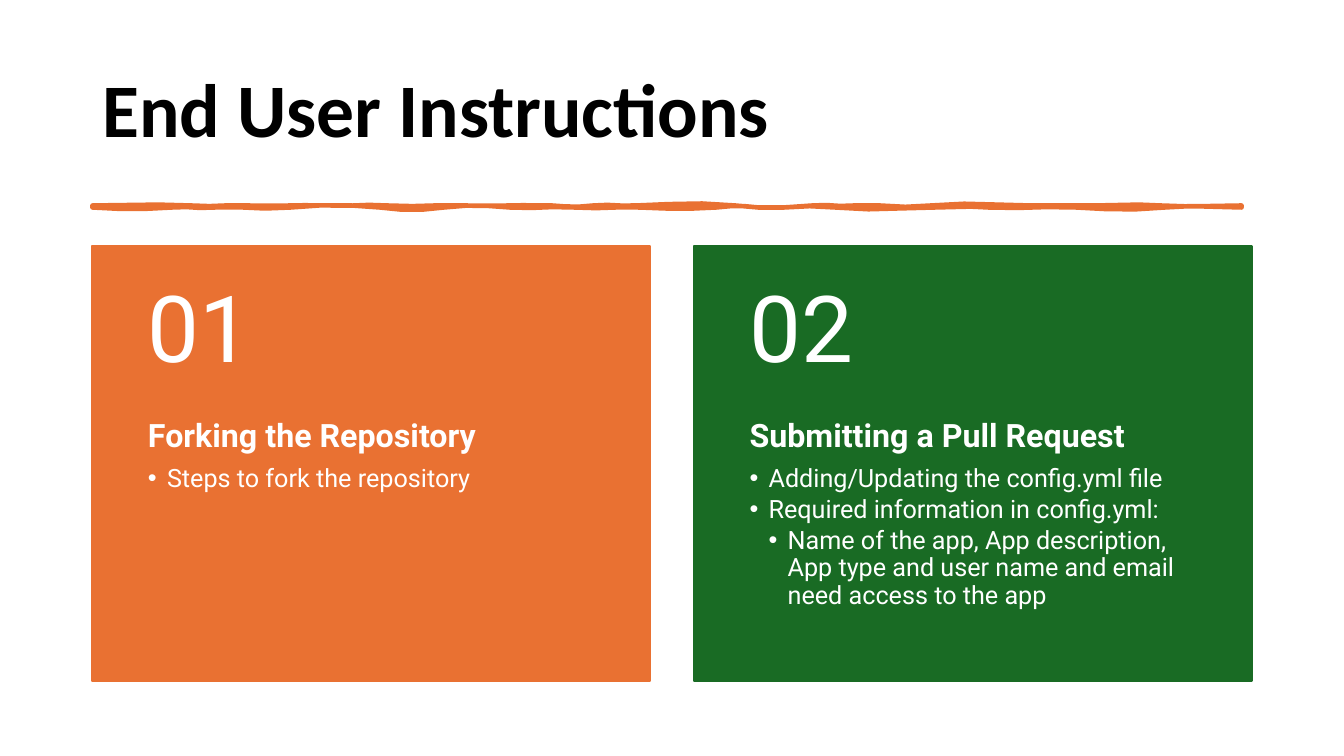
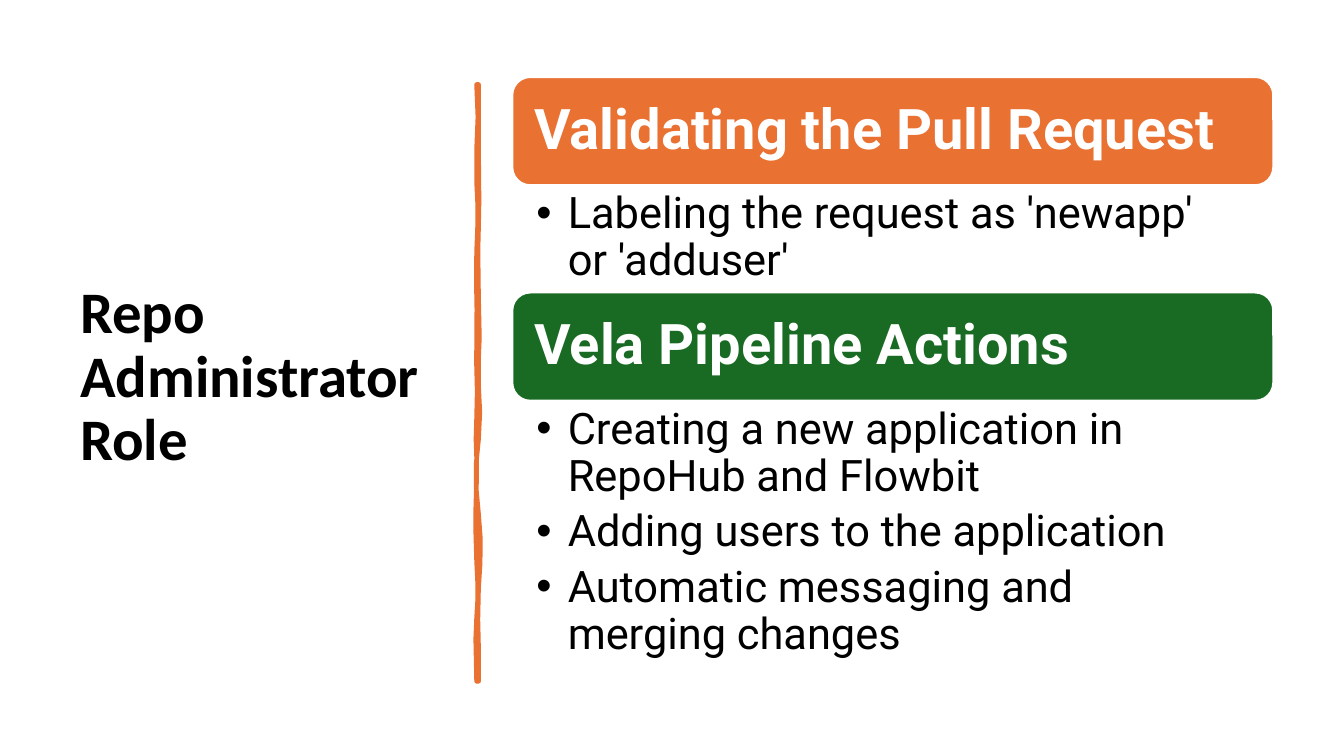
"""Build two slides on end user instructions and the repo administrator role."""
from lxml import etree
from pptx import Presentation
from pptx.dml.color import RGBColor
from pptx.enum.shapes import MSO_SHAPE
from pptx.enum.text import MSO_ANCHOR, PP_ALIGN
from pptx.oxml.ns import qn
from pptx.util import Cm, Pt

RECTANGLE = MSO_SHAPE.RECTANGLE
ROUNDED = MSO_SHAPE.ROUNDED_RECTANGLE
TOP = MSO_ANCHOR.TOP
MIDDLE = MSO_ANCHOR.MIDDLE
LEFT = PP_ALIGN.LEFT

ORANGE = RGBColor(0xE9, 0x71, 0x32)
GREEN = RGBColor(0x19, 0x6B, 0x24)
WHITE = RGBColor(0xFF, 0xFF, 0xFF)
BLACK = RGBColor(0, 0, 0)
TITLE_FONT = "Calibri"
BODY_FONT = "Roboto"

STROKE_GAP = 0.05
CURVE_STEPS = 3
RULE_UPPER = [(0, 0), (2.49, -0.05), (3.86, -0.03), (6.07, -0.03), (7.42, -0.05),
              (9.35, -0.03), (11.58, -0.03), (12.62, 0.05), (13.69, 0.03),
              (16.2, -0.1), (18.14, 0.05), (19.2, 0.05), (21.13, 0.1), (23.65, 0),
              (25.27, 0), (26.92, -0.05), (28.96, 0)]
RULE_LOWER = [(28.96, 0), (27.03, -0.08), (24.79, 0.05), (22.58, 0.05), (21.23, 0),
              (18.72, 0.1), (16.79, 0.05), (15.72, -0.05), (13.79, 0.03),
              (12.14, 0.05), (10.52, 0.05), (8.86, -0.08), (7.24, 0.08), (5, -0.08),
              (3.07, -0.05), (2.01, -0.05), (0, 0.05)]
DIVIDER_RIGHT = [(0, 0), (1.57, 0), (3.61, 0.03), (5.33, 0), (6.91, 0.05),
                 (8.94, 0.1), (10.82, -0.08), (12.7, 0.05), (15.04, 0.03)]
DIVIDER_LEFT = [(15.04, 0), (13.44, -0.05), (12.01, 0.03), (9.98, -0.03),
                (8.41, -0.05), (6.38, -0.03), (4.22, -0.03), (2.46, 0.05), (0, 0.1)]

CARD_LEFT, CARD_TOP, CARD_WIDTH, CARD_HEIGHT = 2.33, 6.2, 14.05, 10.97
CARD_STEP = 15.16
NUMBER_HEIGHT = 4.38
CARDS = [
    (ORANGE, "Forking the Repository", [(1, "Steps to fork the repository")]),
    (GREEN, "Submitting a Pull Request", [
        (1, "Adding/Updating the config.yml file"),
        (1, "Required information in config.yml:"),
        (2, "Name of the app, App description, App type and user name "
            "and email need access to the app")]),
]

SECTION_LEFT, SECTION_TOP, SECTION_WIDTH = 12.91, 1.94, 19.18
BANNER_HEIGHT = 2.73
SECTIONS = [
    (ORANGE, "Validating the Pull Request", 2.7,
     ["Labeling the request as 'newapp' or 'adduser'"]),
    (GREEN, "Vela Pipeline Actions", 6.91,
     ["Creating a new application in RepoHub and Flowbit",
      "Adding users to the application",
      "Automatic messaging and merging changes"]),
]


def set_frame(box, anchor, insets):
    """Set wrapping, anchor and insets of a box and return its text frame."""
    frame = box.text_frame
    frame.word_wrap = True
    frame.vertical_anchor = anchor
    (frame.margin_left, frame.margin_top,
     frame.margin_right, frame.margin_bottom) = [Cm(inset) for inset in insets]
    return frame


def add_text_box(page, left, top, width, height, anchor, insets):
    """Add a text box and return its text frame."""
    box = page.shapes.add_textbox(Cm(left), Cm(top), Cm(width), Cm(height))
    return set_frame(box, anchor, insets)


def add_bullet(para, level, indent):
    """Give a paragraph a hanging bullet at the given level."""
    para.level = level
    properties = para._p.get_or_add_pPr()
    properties.set("marL", str(Cm(level * indent)))
    properties.set("indent", str(-Cm(indent)))
    etree.SubElement(properties, qn("a:buFont")).set("typeface", "Arial")
    etree.SubElement(properties, qn("a:buChar")).set("char", "•")


def write(frame, text, size, color, name=BODY_FONT, bold=False, after=0,
          level=0, indent=0):
    """Write one paragraph, using the empty first one if it is free."""
    para = frame.paragraphs[0]
    if para.runs:
        para = frame.add_paragraph()
    para.text = text
    para.alignment = LEFT
    if level:
        add_bullet(para, level, indent)
    para.line_spacing = 0.9
    para.space_before = Pt(0)
    para.space_after = Pt(after)
    para.font.name = name
    para.font.size = Pt(size)
    para.font.bold = bold
    para.font.color.rgb = color


def add_title(page, text, size, left, top, width, height):
    """Add the slide title."""
    frame = add_text_box(page, left, top, width, height, MIDDLE,
                         (0.25, 0.13, 0.25, 0.13))
    write(frame, text, size, BLACK, TITLE_FONT, bold=True)


def paint(shape, fill, line, width):
    """Set the fill and outline of a shape without a shadow."""
    shape.shadow.inherit = False
    shape.fill.solid()
    shape.fill.fore_color.rgb = fill
    shape.line.color.rgb = line
    shape.line.width = Pt(width)


def add_panel(page, kind, left, top, width, height, fill, line):
    """Add a filled preset shape."""
    panel = page.shapes.add_shape(kind, Cm(left), Cm(top), Cm(width), Cm(height))
    paint(panel, fill, line, 1.5)
    return panel


def trace_edge(knots, base):
    """Return the points of a wavy edge through knots of place and bend."""
    points = [(knots[0][0], base)]
    for (start, bend_out), (end, bend_in) in zip(knots, knots[1:]):
        for step in range(1, CURVE_STEPS + 1):
            t = step / CURVE_STEPS
            wave = 3 * t * (1 - t) * (t * bend_in - (1 - t) * bend_out)
            points.append((start + (end - start) * t, base + wave))
    return points


def add_brush_line(page, left, top, near_edge, far_edge, vertical=False):
    """Draw a hand-drawn stroke between two wavy edges."""
    points = trace_edge(*near_edge) + trace_edge(*far_edge)
    if vertical:
        points = [(across, along) for along, across in points]
    places = [(Cm(left + x), Cm(top + y)) for x, y in points]
    builder = page.shapes.build_freeform(*places[0])
    builder.add_line_segments(places[1:], close=True)
    paint(builder.convert_to_shape(), ORANGE, ORANGE, 3.25)


def add_card(page, number, color, heading, items):
    """Add a numbered card with a heading and bullets."""
    left = CARD_LEFT + (number - 1) * CARD_STEP
    add_panel(page, RECTANGLE, left, CARD_TOP, CARD_WIDTH, CARD_HEIGHT, color, color)
    body = add_text_box(page, left, CARD_TOP + NUMBER_HEIGHT, CARD_WIDTH,
                        CARD_HEIGHT - NUMBER_HEIGHT, TOP, (1.4, 0, 1.4, 0.91))
    write(body, heading, 23, WHITE, bold=True, after=8)
    for level, text in items:
        write(body, text, 18, WHITE, after=2.7, level=level, indent=0.48)
    label = add_text_box(page, left, CARD_TOP, CARD_WIDTH, NUMBER_HEIGHT, MIDDLE,
                         (1.4, 0.46, 1.4, 0.46))
    write(label, f"{number:02}", 66, WHITE)


def add_section(page, top, color, heading, height, items):
    """Add a banner with bullets below it and return the bottom edge."""
    banner = add_panel(page, ROUNDED, SECTION_LEFT, top, SECTION_WIDTH,
                       BANNER_HEIGHT, color, WHITE)
    frame = set_frame(banner, MIDDLE, (0.43, 0.43, 0.43, 0.43))
    write(frame, heading, 40, WHITE, bold=True)
    top += BANNER_HEIGHT
    body = add_text_box(page, SECTION_LEFT, top, SECTION_WIDTH, height, TOP,
                        (0.61, 0.15, 0.79, 0.15))
    for text in items:
        write(body, text, 31, BLACK, after=6.2, level=1, indent=0.79)
    return top + height


def build_instructions(page):
    """Build the slide with the two numbered cards."""
    add_title(page, "End User Instructions", 54, 2.33, 1.02, 29.21, 3.68)
    add_brush_line(page, CARD_LEFT, 5.18, (RULE_UPPER, 0), (RULE_LOWER, STROKE_GAP))
    for number, card in enumerate(CARDS, start=1):
        add_card(page, number, *card)


def build_administrator(page):
    """Build the slide with the two banner sections."""
    add_title(page, "Repo Administrator Role", 42, 1.77, 1.77, 9.5, 15.52)
    add_brush_line(page, 12.01, 2.13, (DIVIDER_RIGHT, STROKE_GAP), (DIVIDER_LEFT, 0),
                   vertical=True)
    top = SECTION_TOP
    for section in SECTIONS:
        top = add_section(page, top, *section)


def main():
    """Build and save the deck."""
    deck = Presentation()
    deck.slide_width = Cm(33.87)
    deck.slide_height = Cm(19.05)
    blank = deck.slide_layouts[6]
    for build in (build_instructions, build_administrator):
        build(deck.slides.add_slide(blank))
    deck.save("out.pptx")


if __name__ == "__main__":
    main()
